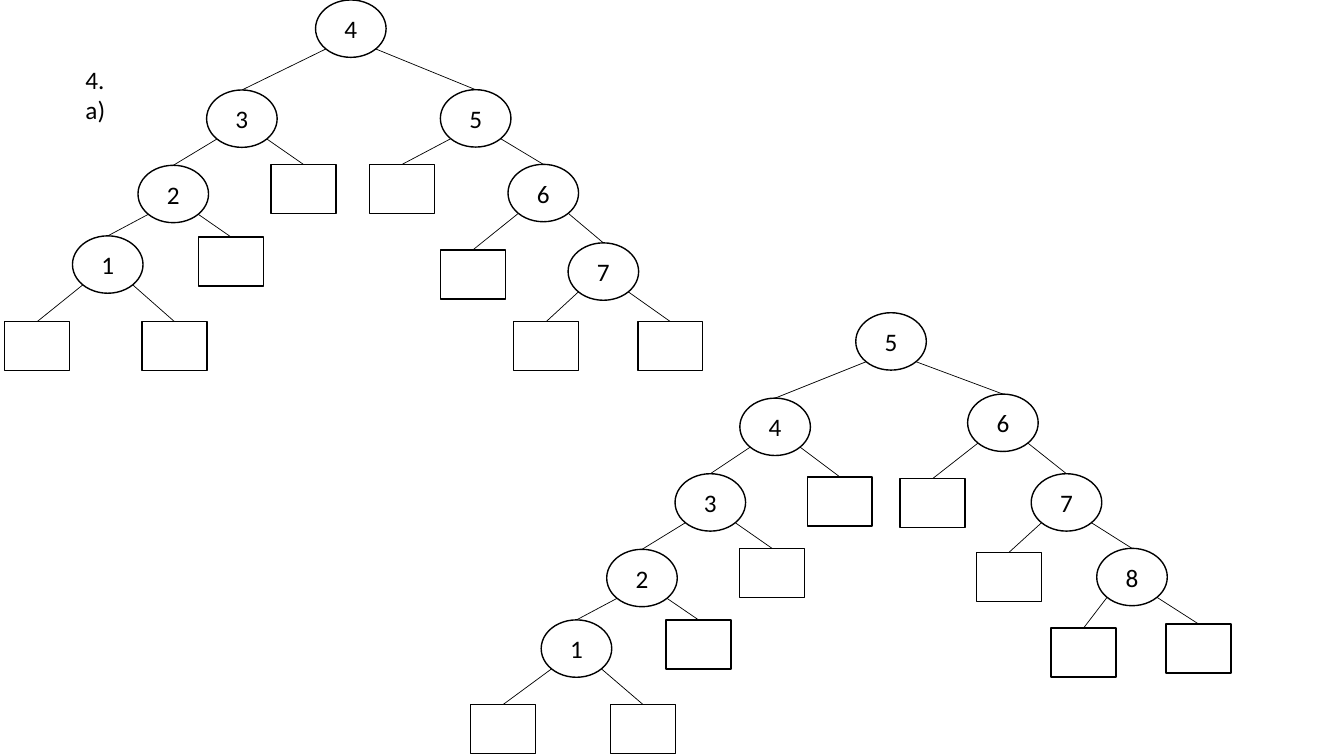
from lxml import etree
from pptx import Presentation
from pptx.dml.color import RGBColor
from pptx.enum.shapes import MSO_CONNECTOR, MSO_SHAPE
from pptx.enum.text import MSO_ANCHOR, MSO_AUTO_SIZE, PP_ALIGN
from pptx.oxml.ns import qn
from pptx.util import Pt

INK, PAPER = "000000", "FFFFFF"
NODE_W, NODE_H = 50.4, 41
LEAF_W, LEAF_H = 46.4, 35
DIAGONAL = 0.3536  # share of the ellipse size from its centre to a lower corner point

# Inner node: (key, x centre, top, left child, right child); leaf: (x centre, top)
seven_keys = (
    4, 250.6, 0,
    (3, 172.8, 64.3,
     (2, 123.8, 118.1,
      (1, 77, 168.5, (26.6, 229.7), (124.6, 229.7)),
      (164.9, 169.2)),
     (216.7, 117.4)),
    (5, 339.8, 64.1,
     (287.3, 117.4),
     (6, 388.1, 117.4,
      (337.7, 178.6),
      (7, 431, 173.5, (390.2, 229.7), (478.8, 229.7)))))
eight_keys = (
    5, 636.5, 223.4,
    (4, 553.7, 284.4,
     (3, 507.4, 338.4,
      (2, 458.6, 392.4,
       (1, 411.8, 442.8, (359.3, 503.3), (459.4, 503.3)),
       (499, 442.8)),
      (551.5, 391.7)),
     (599.8, 340.6)),
    (6, 716.4, 281.5,
     (666, 342),
     (7, 761.8, 338.4,
      (720.7, 394.6),
      (8, 808.6, 391.7, (774, 448.6), (856.1, 445.7)))))

prs = Presentation()
prs.slide_width, prs.slide_height = Pt(960), Pt(540)
slide = prs.slides.add_slide(prs.slide_layouts[6])


def color(hex_code):
    return RGBColor.from_string(hex_code)


def write(frame, text):
    run = frame.paragraphs[0].add_run()
    run.text = text
    for name, value in {"size": Pt(18), "name": "Calibri"}.items():
        setattr(run.font, name, value)
    run.font.color.rgb = color(INK)


# Both trees, each node before its children
pending = [eight_keys, seven_keys]
while pending:
    node = pending.pop()
    is_leaf = len(node) == 2
    x, top = node if is_leaf else node[1:3]
    width, height = (LEAF_W, LEAF_H) if is_leaf else (NODE_W, NODE_H)
    preset = MSO_SHAPE.RECTANGLE if is_leaf else MSO_SHAPE.OVAL
    outline = slide.shapes.add_shape(
        preset, Pt(x - width / 2), Pt(top), Pt(width), Pt(height))
    outline.shadow.inherit = False
    outline.fill.solid()
    outline.fill.fore_color.rgb = color(PAPER)
    outline.line.color.rgb = color(INK)
    outline.line.width = Pt(1)
    if is_leaf:
        continue

    # Key in the node
    frame = outline.text_frame
    frame.vertical_anchor = MSO_ANCHOR.MIDDLE
    frame.paragraphs[0].alignment = PP_ALIGN.CENTER
    write(frame, str(node[0]))

    # Branches to the left and right child
    for side, child in zip((-1, 1), node[3:]):
        child_x, child_top = child if len(child) == 2 else child[1:3]
        branch = slide.shapes.add_connector(
            MSO_CONNECTOR.STRAIGHT,
            Pt(x + side * DIAGONAL * NODE_W), Pt(top + (0.5 + DIAGONAL) * NODE_H),
            Pt(child_x), Pt(child_top))
        branch.line.color.rgb = color(INK)
        branch.line.width = Pt(0.5)
        etree.SubElement(branch._element.spPr, qn("a:effectLst"))
        pending.append(child)

# Exercise number
exercise = slide.shapes.add_textbox(Pt(54), Pt(42.5), Pt(39), Pt(51)).text_frame
exercise.word_wrap = True
exercise.auto_size = MSO_AUTO_SIZE.SHAPE_TO_FIT_TEXT
write(exercise, "4. a)")

prs.save("out.pptx")
